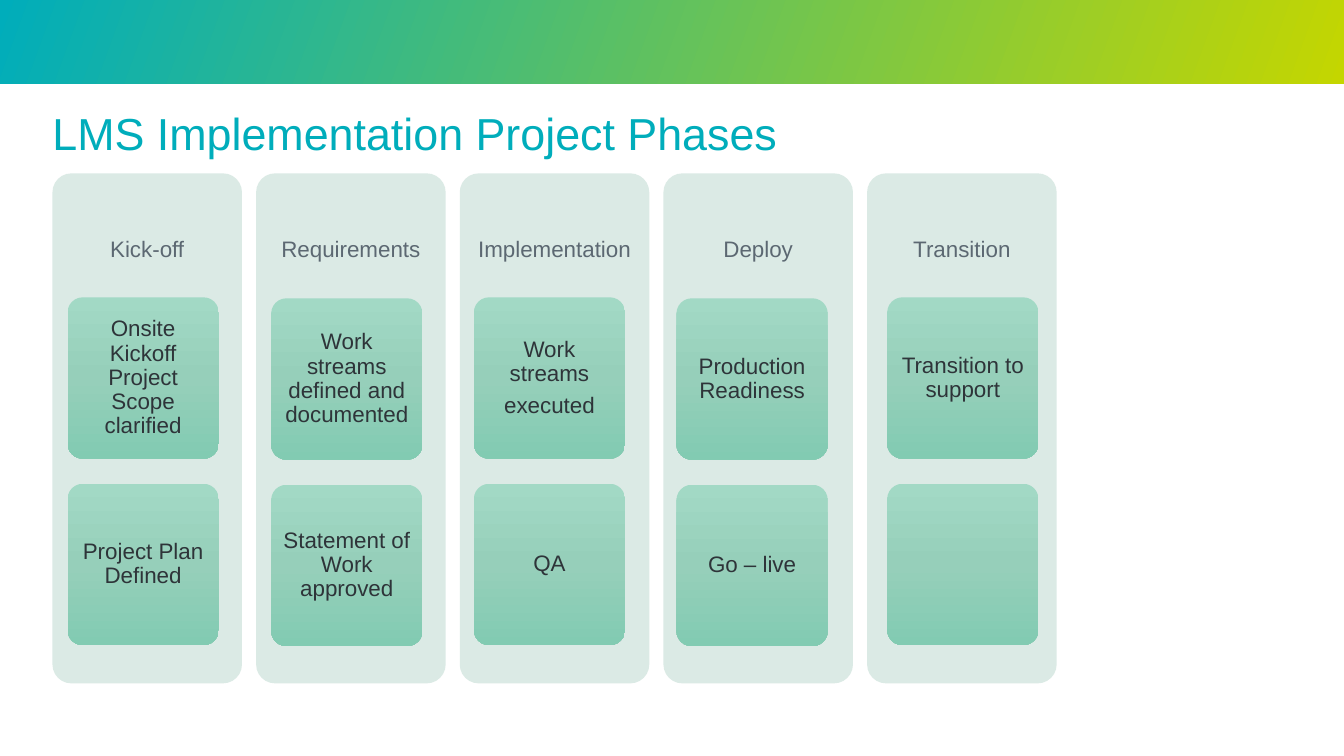
from dataclasses import dataclass

import pptx
import pptx.dml.color
import pptx.enum.shapes
import pptx.enum.text
import pptx.oxml
import pptx.oxml.ns
import pptx.util

Inches = pptx.util.Inches
Pt = pptx.util.Pt
MSO_SHAPE = pptx.enum.shapes.MSO_SHAPE
PP_ALIGN = pptx.enum.text.PP_ALIGN
MSO_ANCHOR = pptx.enum.text.MSO_ANCHOR

FONT = "Arial"
TEAL, LIME = "00ADBB", "C4D600"
PANEL_COLOR, PANEL_OPACITY = "CEE3DB", 72
CARD_COLORS = ["A2D9C5", "96CFBA", "82CBB2"]
HEADING_COLOR, CARD_TEXT_COLOR = "5C6872", "2E3439"

PANEL_LEFT, PANEL_TOP, PANEL_PITCH = 0.52, 1.72, 2.02
PANEL_WIDTH, PANEL_HEIGHT, HEADING_HEIGHT = 1.88, 5.06, 1.52
CARD_WIDTH, CARD_HEIGHT, CARD_PITCH = 1.5, 1.6, 1.85


@dataclass
class Phase:
    heading: str
    card_left: float
    card_top: float
    cards: list[str]


PHASES = [
    Phase("Kick-off", 0.67, 2.95,
          ["Onsite Kickoff Project Scope clarified", "Project Plan Defined"]),
    Phase("Requirements", 2.69, 2.96,
          ["Work streams defined and documented", "Statement of Work approved"]),
    Phase("Implementation", 4.7, 2.95, ["Work streams\nexecuted", "QA"]),
    Phase("Deploy", 6.71, 2.96, ["Production Readiness", "Go – live"]),
    Phase("Transition", 8.8, 2.95, ["Transition to support", ""]),
]


def rgb(color: str) -> pptx.dml.color.RGBColor:
    return pptx.dml.color.RGBColor.from_string(color)


def add_block(slide, kind, left: float, top: float, width: float, height: float):
    """Add a shape with neither outline nor shadow."""
    block = slide.shapes.add_shape(
        kind, Inches(left), Inches(top), Inches(width), Inches(height))
    block.shadow.inherit = False
    block.line.fill.background()
    if kind == MSO_SHAPE.ROUNDED_RECTANGLE:
        block.adjustments[0] = 0.1
    return block


def fill_solid(block, color: str, opacity: int) -> None:
    block.fill.solid()
    block.fill.fore_color.rgb = rgb(color)
    color_element = block.fill._xPr.find(".//" + pptx.oxml.ns.qn("a:srgbClr"))
    alpha = color_element.makeelement(
        pptx.oxml.ns.qn("a:alpha"), {"val": str(opacity * 1000)})
    color_element.append(alpha)


def fill_gradient(block, colors: list[str], angle: int) -> None:
    """Spread the colours evenly, with the angle in degrees clockwise."""
    stops = "".join(
        f'<a:gs pos="{100000 * index // (len(colors) - 1)}"><a:srgbClr val="{color}"/></a:gs>'
        for index, color in enumerate(colors))
    gradient = pptx.oxml.parse_xml(
        f'<a:gradFill {pptx.oxml.ns.nsdecls("a")} rotWithShape="1"><a:gsLst>{stops}</a:gsLst>'
        f'<a:lin ang="{angle * 60000}" scaled="0"/></a:gradFill>')
    block._element.spPr.find(pptx.oxml.ns.qn("a:prstGeom")).addnext(gradient)


def write(block, text: str, size: float, color: str, align,
          anchor, insets: tuple[float, float, float, float],
          before: float = 0, after: float = 0) -> None:
    """Fill in the text; insets are left, top, right and bottom in inches."""
    frame = block.text_frame
    frame.word_wrap = True
    frame.vertical_anchor = anchor
    (frame.margin_left, frame.margin_top,
     frame.margin_right, frame.margin_bottom) = map(Inches, insets)
    frame.text = text
    for paragraph in frame.paragraphs:
        paragraph.alignment = align
        paragraph.line_spacing = 0.9
        paragraph.space_before = Pt(before)
        paragraph.space_after = Pt(after)
        paragraph.font.name = FONT
        paragraph.font.size = Pt(size)
        paragraph.font.color.rgb = rgb(color)


def add_panel(slide, phase: Phase, column: int) -> None:
    panel = add_block(slide, MSO_SHAPE.ROUNDED_RECTANGLE,
                      PANEL_LEFT + column * PANEL_PITCH, PANEL_TOP,
                      PANEL_WIDTH, PANEL_HEIGHT)
    fill_solid(panel, PANEL_COLOR, PANEL_OPACITY)
    below_heading = PANEL_HEIGHT - HEADING_HEIGHT
    write(panel, phase.heading, 16, HEADING_COLOR, PP_ALIGN.CENTER, MSO_ANCHOR.MIDDLE,
          (0.03, 0.03, 0.03, below_heading + 0.03), after=5.6)


def add_cards(slide, phase: Phase) -> None:
    for row, text in enumerate(phase.cards):
        card = add_block(slide, MSO_SHAPE.ROUNDED_RECTANGLE, phase.card_left,
                         phase.card_top + row * CARD_PITCH, CARD_WIDTH, CARD_HEIGHT)
        fill_gradient(card, CARD_COLORS, 90)
        if text:
            write(card, text, 16, CARD_TEXT_COLOR, PP_ALIGN.CENTER, MSO_ANCHOR.MIDDLE,
                  (0.05, 0.04, 0.05, 0.04), after=5.6)


def main() -> None:
    presentation = pptx.Presentation()
    presentation.slide_width = Inches(13.33)
    presentation.slide_height = Inches(7.5)
    slide = presentation.slides.add_slide(presentation.slide_layouts[6])

    banner = add_block(slide, MSO_SHAPE.RECTANGLE, 0, 0, 13.33, 0.83)
    fill_gradient(banner, [LIME, TEAL], 200)

    title = slide.shapes.add_textbox(Inches(0.52), Inches(1.11), Inches(11.5), Inches(0.74))
    write(title, "LMS Implementation Project Phases", 32, TEAL, PP_ALIGN.LEFT,
          MSO_ANCHOR.TOP, (0, 0, 0, 0), before=10)

    for column, phase in enumerate(PHASES):
        add_panel(slide, phase, column)
    for phase in PHASES:
        add_cards(slide, phase)

    presentation.save("out.pptx")


if __name__ == "__main__":
    main()
